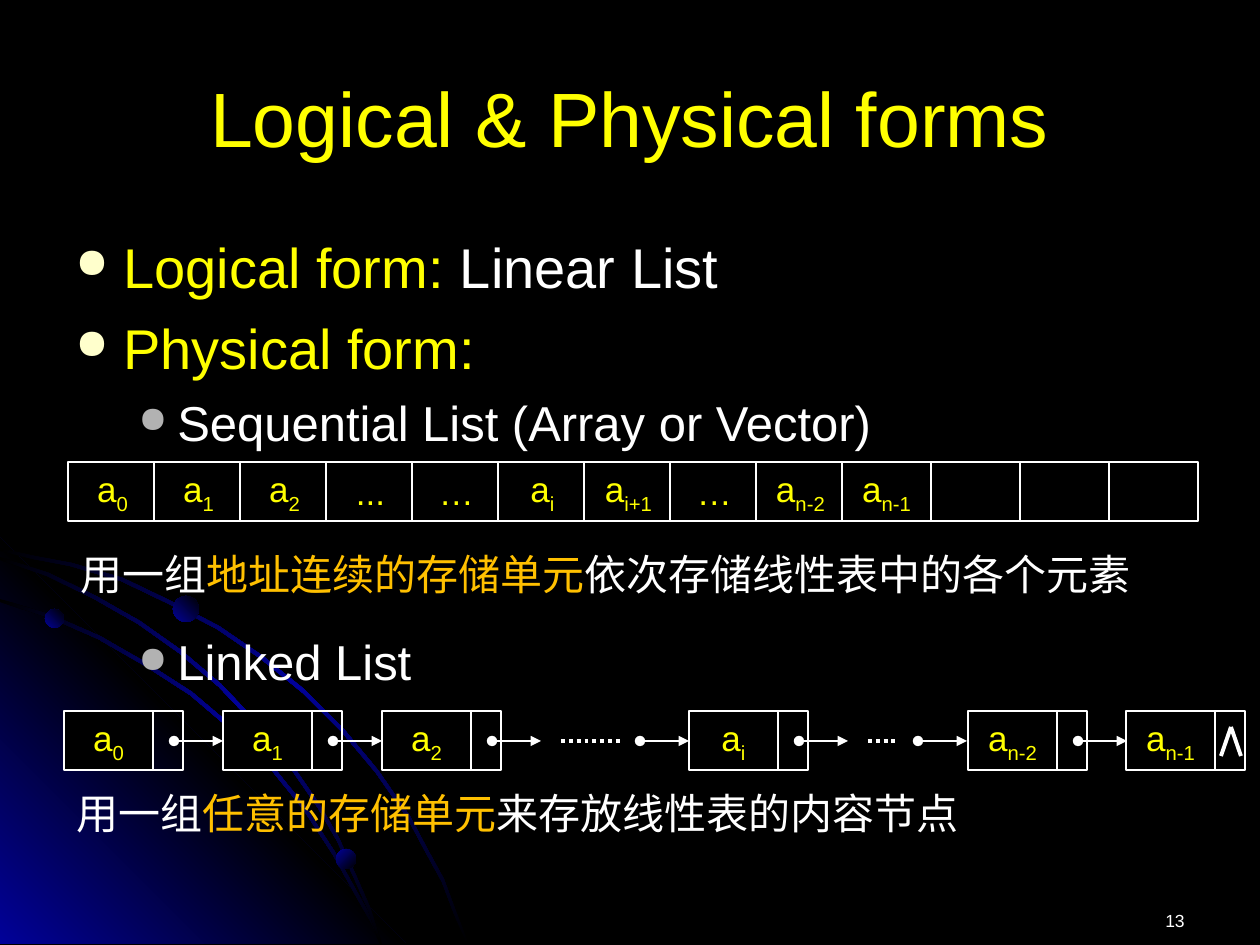
from copy import deepcopy

from lxml import etree
from pptx import Presentation, util as u
from pptx.dml.color import RGBColor
from pptx.enum import dml, shapes, text
from pptx.oxml.ns import qn

SCALE = 914400 / 126
WIDE, HIGH = 1260, 945
WHITE, BLACK, YELLOW, GOLD, BLUE = "FFFFFF", "000000", "FFFF00", "FFC000", "010199"
CELL, LINK, TALL = 89, 30, 59
ROW, CHAIN = 462, 711

ARCS = [
    [(0, 548), (35, 556), (72, 563), (123, 578), (171, 601), (219, 626), (263, 656),
     (305, 690), (343, 728), (378, 770), (410, 816), (427, 848), (444, 879),
     (456, 911), (469, 944)],
    [(0, 599), (52, 615), (100, 636), (147, 663), (192, 692), (232, 726), (271, 764),
     (305, 806), (335, 852), (360, 897), (373, 920), (382, 944)],
    [(0, 557), (49, 573), (96, 596), (140, 621), (181, 650), (221, 684), (257, 722),
     (289, 760), (320, 805), (339, 838), (355, 873), (370, 907), (382, 944)],
]
BALLS = [(45, 609, 19, 45), (336, 849, 20, 315), (173, 596, 26, 45)]
ITEMS = [("a", "0"), ("a", "1"), ("a", "2"), ("...", ""), ("…", ""), ("a", "i"),
         ("a", "i+1"), ("…", ""), ("a", "n-2"), ("a", "n-1")]
NODES = [(64, "0"), (223, "1"), (382, "2"), (689, "i"), (968, "n-2"), (1126, "n-1")]


def px(*vals):
    return [u.Emu(round(v * SCALE)) for v in vals]


def rgb(code):
    return RGBColor.from_string(code)


def add_run(para, words, size, color, base=0):
    run = para.add_run()
    run.text = words
    run.font.name = "Arial"
    run.font.size = u.Pt(size)
    run.font.color.rgb = rgb(color)
    if base:
        run._r.get_or_add_rPr().set("baseline", str(base * 1000))


def add_text(slide, box, runs, size, align=text.PP_ALIGN.LEFT, anchor=text.MSO_ANCHOR.TOP):
    frame = slide.shapes.add_textbox(*px(*box)).text_frame
    frame.word_wrap = True
    frame.vertical_anchor = anchor
    para = frame.paragraphs[0]
    para.alignment = align
    for words, color in runs:
        add_run(para, words, size, color)
    return frame


def add_bullet(para, color, left, hang):
    props = para._p.get_or_add_pPr()
    for key, val in zip(("marL", "indent"), px(left, -hang)):
        props.set(key, str(val))
    tint = etree.SubElement(props, qn("a:buClr"))
    etree.SubElement(tint, qn("a:srgbClr"), val=color)
    etree.SubElement(props, qn("a:buSzPct"), val="75000")
    etree.SubElement(props, qn("a:buChar"), char="●")


def add_body(slide):
    frame = add_text(slide, (63, 226, 1134, 618), [], 32)
    rows = [
        (0, 0, [("Logical form: ", YELLOW), ("Linear List", WHITE)]),
        (0, 8, [("Physical form:", YELLOW)]),
        (1, 7, [("Sequential List (Array or Vector)", WHITE)]),
        (1, 103, [("Linked List", WHITE)]),
    ]
    looks = [("FFFFCC", 48, 48, 32), ("B2B2B2", 102, 39, 28)]
    for i, (level, gap, runs) in enumerate(rows):
        para = frame.add_paragraph() if i else frame.paragraphs[0]
        color, left, hang, size = looks[level]
        add_bullet(para, color, left, hang)
        para.level = level
        if gap:
            para.space_before = u.Pt(gap)
        for words, tint in runs:
            add_run(para, words, size, tint)


def shade(shape, colors, angle):
    """Fill a shape with evenly spaced gradient stops and no outline."""
    shape.shadow.inherit = False
    shape.line.fill.background()
    fill = shape.fill
    fill.gradient()
    fill.gradient_angle = angle
    stops = shape._element.spPr.find(".//" + qn("a:gsLst"))
    while len(stops) < len(colors):
        stops.append(deepcopy(stops[0]))
    for i, (stop, color) in enumerate(zip(fill.gradient_stops, colors)):
        stop.position = i / (len(colors) - 1)
        stop.color.rgb = rgb(color)


def add_free(slide, points, colors, angle):
    first, *rest = points
    form = slide.shapes.build_freeform(*first, scale=SCALE)
    form.add_line_segments(rest, close=True)
    shade(form.convert_to_shape(), colors, angle)


def add_decor(slide):
    bands = [(arc, [(max(x - 2, 0), min(y + 3, 944)) for x, y in reversed(arc)])
             for arc in ARCS]
    wedge = [(406, 944), (0, 944), (0, 538)]
    add_free(slide, wedge, [BLUE, BLACK, BLUE], 45)
    for upper, lower in bands:
        add_free(slide, upper + lower, [BLACK, BLUE, BLACK], 315)
    for x, y, size, angle in BALLS:
        ball = slide.shapes.add_shape(shapes.MSO_SHAPE.OVAL, *px(x, y, size, size))
        shade(ball, [BLUE, BLACK], angle)


def add_cell(slide, x, y, wide=CELL, main="", sub="", solid=True):
    cell = slide.shapes.add_shape(shapes.MSO_SHAPE.RECTANGLE, *px(x, y, wide, TALL))
    cell.shadow.inherit = False
    if solid:
        cell.fill.solid()
        cell.fill.fore_color.rgb = rgb(BLACK)
    else:
        cell.fill.background()
    cell.line.color.rgb = rgb(WHITE)
    cell.line.width = u.Pt(0.75)
    if main:
        frame = cell.text_frame
        frame.word_wrap = False
        frame.vertical_anchor = text.MSO_ANCHOR.MIDDLE
        para = frame.paragraphs[0]
        para.alignment = text.PP_ALIGN.CENTER
        add_run(para, main, 20, YELLOW)
        if sub:
            add_run(para, sub, 20, YELLOW, -25)


def add_line(slide, start, end, width=2.25, dots=False, arrow=False):
    line = slide.shapes.add_connector(shapes.MSO_CONNECTOR.STRAIGHT, *px(*start, *end))
    line.line.color.rgb = rgb(WHITE)
    line.line.width = u.Pt(width)
    if dots:
        line.line.dash_style = dml.MSO_LINE.ROUND_DOT
    if arrow:
        edge = line.line._get_or_add_ln()
        etree.SubElement(edge, qn("a:headEnd"), type="oval")
        etree.SubElement(edge, qn("a:tailEnd"), type="triangle")
    etree.SubElement(line._element.spPr, qn("a:effectLst"))


def add_array(slide):
    for i, (main, sub) in enumerate(ITEMS):
        add_cell(slide, 68 + 86 * i, ROW, CELL, main, sub)
    for i in range(3):
        add_cell(slide, 931 + CELL * i, ROW)


def add_chain(slide):
    mid = CHAIN + 30
    for x, sub in NODES:
        add_cell(slide, x, CHAIN, CELL, "a", sub)
        add_cell(slide, x + CELL, CHAIN, LINK, solid=False)
    for x in [left + 110 for left, _ in NODES[:-1]] + [640, 918]:
        add_line(slide, (x, mid), (x + 49, mid), 0.75, arrow=True)
    for x, end in [(561, 620), (868, 898)]:
        add_line(slide, (x, mid), (end, mid), dots=True)
    for x in (1221, 1241):
        add_line(slide, (x, 756), (1231, 727))


def main():
    deck = Presentation()
    deck.slide_width, deck.slide_height = px(WIDE, HIGH)
    slide = deck.slides.add_slide(deck.slide_layouts[6])
    back = slide.background.fill
    back.solid()
    back.fore_color.rgb = rgb(BLACK)
    add_decor(slide)
    add_text(slide, (903, 904, 294, 42), [("13", WHITE)], 10, text.PP_ALIGN.RIGHT)
    add_text(slide, (63, 38, 1134, 158), [("Logical & Physical forms", YELLOW)], 44,
             text.PP_ALIGN.CENTER, text.MSO_ANCHOR.MIDDLE)
    add_body(slide)
    add_array(slide)
    add_chain(slide)
    add_text(slide, (68, 542, 1138, 63), [("用一组", WHITE), ("地址连续的存储单元", GOLD),
                                          ("依次存储线性表中的各个元素", WHITE)], 24)
    add_text(slide, (64, 781, 1138, 63), [("用一组", WHITE), ("任意的存储单元", GOLD),
                                          ("来存放线性表的内容节点", WHITE)], 24)
    deck.save("out.pptx")


if __name__ == "__main__":
    main()
